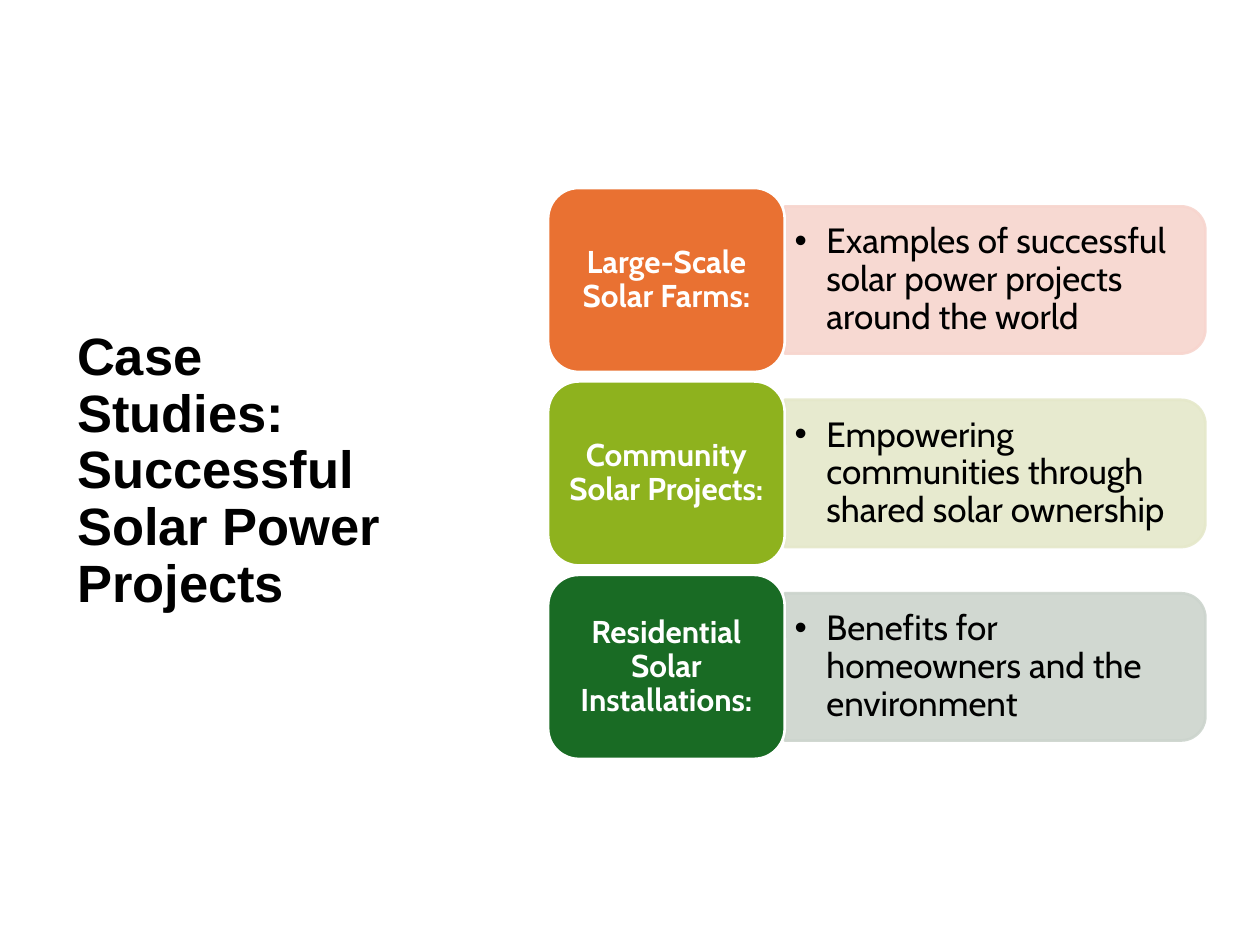
from dataclasses import dataclass

from lxml.etree import SubElement
from pptx import Presentation
from pptx.dml.color import RGBColor as Rgb
from pptx.enum.shapes import MSO_SHAPE as Kind
from pptx.enum.text import MSO_ANCHOR as Anchor, MSO_AUTO_SIZE as Auto, PP_ALIGN as Align
from pptx.oxml.ns import qn
from pptx.util import Cm, Pt


@dataclass
class Theme:
    black: str = "000000"
    white: str = "FFFFFF"
    orange: str = "E97132"
    rose: str = "F7D5CE"
    lime: str = "8EB21E"
    pale: str = "E5E8CA"
    green: str = "196B24"
    grey: str = "CCD4CD"
    head: str = "Arial"
    body: str = "Cabin"
    title: int = 30
    label: int = 18
    note: int = 20


theme = Theme()


def paint(shape, fill, line):
    shape.shadow.inherit = False
    shape.fill.solid()
    shape.fill.fore_color.rgb = Rgb.from_string(fill)
    shape.line.color.rgb = Rgb.from_string(line)
    shape.line.width = Pt(1.5)


def write(shape, text, size, color, face, bold=False, align=Align.LEFT):
    frame = shape.text_frame
    frame.word_wrap = True
    frame.auto_size = Auto.NONE
    frame.vertical_anchor = Anchor.MIDDLE
    para = frame.paragraphs[0]
    para.text = text
    para.alignment = align
    para.line_spacing = 0.9
    para.font.name = face
    para.font.size = Pt(size)
    para.font.bold = bold
    para.font.color.rgb = Rgb.from_string(color)


deck = Presentation()
deck.slide_width, deck.slide_height = Cm(25.4), Cm(19.05)
slide = deck.slides.add_slide(deck.slide_layouts[5])
shapes = slide.shapes

title = shapes.title
title.left, title.top, title.width, title.height = Cm(1.3), Cm(4.8), Cm(7.48), Cm(9.42)
write(title, "Case Studies: Successful Solar Power Projects",
      theme.title, theme.black, theme.head, True)

cases = [
    ("Large-Scale Solar Farms:",
     "Examples of successful solar power projects around the world",
     theme.orange, theme.rose),
    ("Community Solar Projects:",
     "Empowering communities through shared solar ownership",
     theme.lime, theme.pale),
    ("Residential Solar Installations:",
     "Benefits for homeowners and the environment",
     theme.green, theme.grey),
]
left, top, pitch = Cm(11.05), Cm(3.79), Cm(3.9)
wide, high = Cm(4.77), Cm(3.71)
deep, long = Cm(2.97), Cm(8.48)
edge = left + wide

for row, (name, text, dark, light) in enumerate(cases):
    y = top + row * pitch
    mid = y + high // 2

    panel = shapes.add_shape(Kind.ROUND_2_SAME_RECTANGLE,
                             edge + (long - deep) // 2, mid - long // 2, deep, long)
    panel.rotation = 90
    paint(panel, light, light)
    for tint in panel.element.spPr.iter(qn("a:srgbClr")):
        SubElement(tint, qn("a:alpha"), val="90000")

    note = shapes.add_textbox(edge, mid - Cm(1.33), Cm(8.33), Cm(2.66))
    frame = note.text_frame
    frame.margin_left = frame.margin_right = Cm(0.2)
    frame.margin_top = frame.margin_bottom = Cm(0.1)
    props = frame.paragraphs[0]._p.get_or_add_pPr()
    props.set("marL", str(Cm(0.64)))
    props.set("indent", str(-Cm(0.64)))
    SubElement(props, qn("a:buFont"), typeface="Arial")
    SubElement(props, qn("a:buChar"), char="•")
    write(note, text, theme.note, theme.black, theme.body)
    frame.paragraphs[0].level = 1

    tile = shapes.add_shape(Kind.ROUNDED_RECTANGLE, left, y, wide, high)
    paint(tile, dark, theme.white)
    frame = tile.text_frame
    frame.margin_left = frame.margin_right = Cm(0.19)
    frame.margin_top = frame.margin_bottom = Cm(0.1)
    write(tile, name, theme.label, theme.white, theme.body, True, Align.CENTER)

deck.save("out.pptx")
